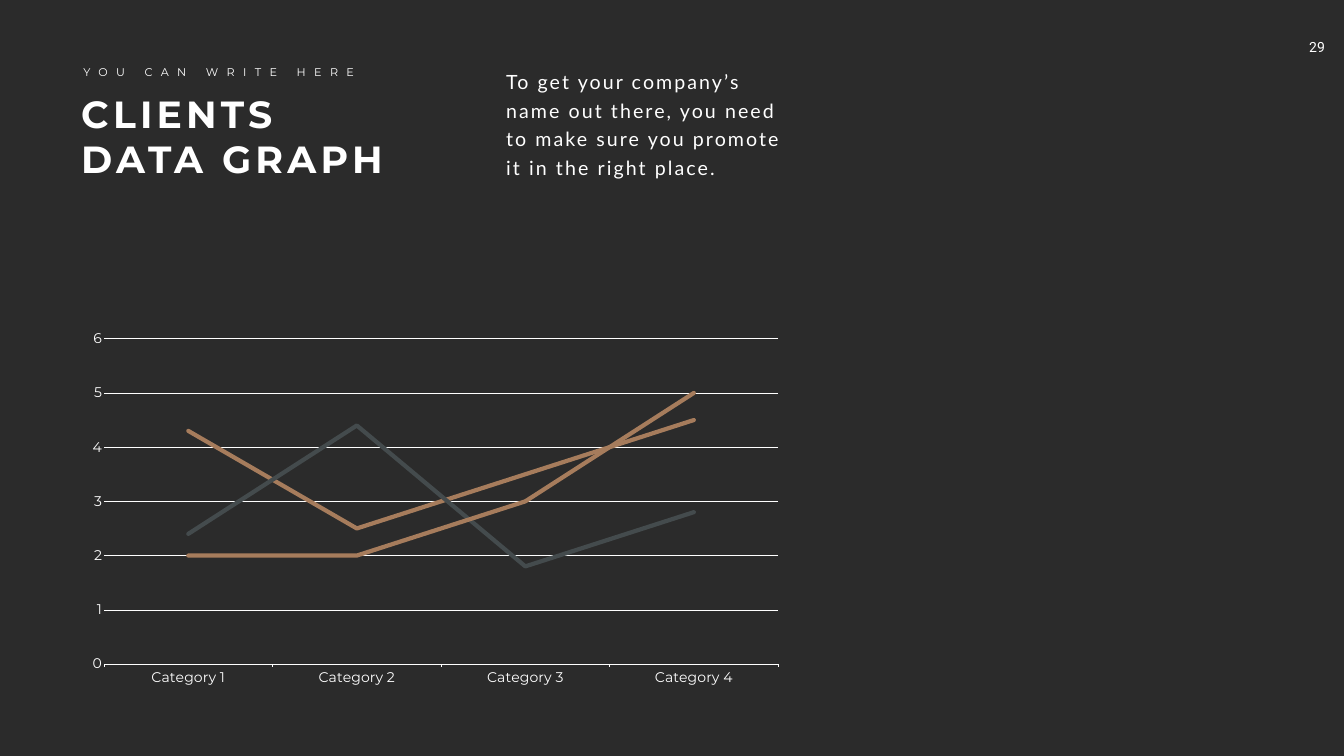
from pptx import Presentation
from pptx import util as u
from pptx.chart.data import CategoryChartData
from pptx.dml.color import RGBColor
from pptx.enum import chart as charts, text

PX = 12700  # EMU per px, on a 1920 x 1080 slide
DARK = RGBColor(0x2B, 0x2B, 0x2B)
WHITE = RGBColor(0xFF, 0xFF, 0xFF)
COPPER = RGBColor(0xA6, 0x7C, 0x5C)
SLATE = RGBColor(0x44, 0x4B, 0x4D)

presentation = Presentation()
presentation.slide_width = 1920 * PX
presentation.slide_height = 1080 * PX
slide = presentation.slides.add_slide(presentation.slide_layouts[6])
slide.background.fill.solid()
slide.background.fill.fore_color.rgb = DARK


def set_font(font, name, size, bold=False):
    font.name = name
    font.size = u.Pt(size)
    font.bold = bold
    font.color.rgb = WHITE


def add_text(content, box, font, size, bold=False, spacing=0, wrap=True,
             align=text.PP_ALIGN.LEFT, line=None, margins=(7, 4)):
    shape = slide.shapes.add_textbox(*(length * PX for length in box))
    frame = shape.text_frame
    frame.word_wrap = wrap
    frame.margin_left = frame.margin_right = margins[0] * PX
    frame.margin_top = frame.margin_bottom = margins[1] * PX
    paragraph = frame.paragraphs[0]
    paragraph.alignment = align
    if line:
        paragraph.line_spacing = u.Pt(line)
    run = paragraph.add_run()
    run.text = content
    set_font(run.font, font, size, bold)
    if spacing:
        run.font._element.set("spc", str(spacing * 100))


# Page number
add_text("29", (1850, 48, 63, 39), "Roboto", 20,
         align=text.PP_ALIGN.CENTER, margins=(14, 7))

# Heading
add_text("CLIENTS DATA GRAPH", (109, 125, 469, 138), "Montserrat", 54,
         bold=True, spacing=6)
add_text("YOU CAN WRITE HERE", (112, 89, 416, 27), "Montserrat", 16,
         spacing=12, wrap=False)

# Line chart
data = CategoryChartData()
data.categories = [f"Category {number}" for number in range(1, 5)]
data.add_series("Series 1", (4.3, 2.5, 3.5, 4.5))
data.add_series("Series 2", (2.4, 4.4, 1.8, 2.8))
data.add_series("Series 3", (2, 2, 3, 5))
chart = slide.shapes.add_chart(
    charts.XL_CHART_TYPE.LINE, 112 * PX, 461 * PX, 1020 * PX, 530 * PX, data).chart
chart.has_legend = False
chart.has_title = False
set_font(chart.font, "Montserrat", 20)
chart.plots[0].vary_by_categories = False

for series, color in zip(chart.plots[0].series, (COPPER, SLATE, COPPER)):
    series.smooth = False
    series.marker.style = charts.XL_MARKER_STYLE.NONE
    series.format.line.color.rgb = color
    series.format.line.width = u.Pt(6)
    series.format.line._ln.set("cap", "rnd")

# Axes and gridlines
category_axis, value_axis = chart.category_axis, chart.value_axis
for axis in (category_axis, value_axis):
    set_font(axis.tick_labels.font, "Montserrat", 20)
    axis.minor_tick_mark = charts.XL_TICK_MARK.NONE
category_axis.major_tick_mark = charts.XL_TICK_MARK.OUTSIDE
value_axis.major_tick_mark = charts.XL_TICK_MARK.NONE
value_axis.minimum_scale, value_axis.maximum_scale, value_axis.major_unit = 0, 6, 1
value_axis.format.line.fill.background()
value_axis.has_major_gridlines = True
for line_format in (category_axis.format.line, value_axis.major_gridlines.format.line):
    line_format.color.rgb = WHITE
    line_format.width = u.Pt(0.75)

# Description
add_text("To get your company’s name out there, you need to make sure you "
         "promote it in the right place.",
         (716, 89, 416, 168), "Lato", 28, spacing=3, line=40.8)

presentation.save("out.pptx")
